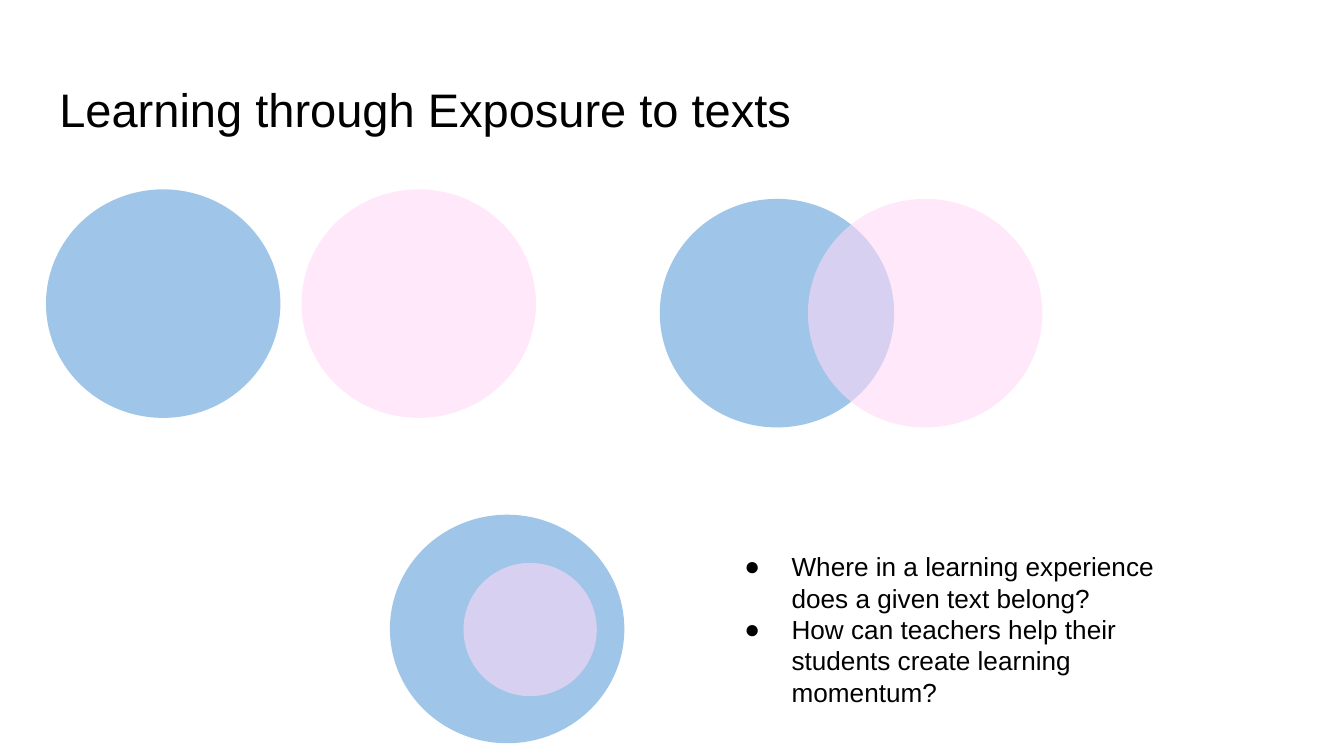
from lxml import etree
from pptx import Presentation
from pptx.dml.color import RGBColor
from pptx.enum.shapes import MSO_SHAPE
from pptx.enum.text import MSO_ANCHOR
from pptx.oxml.ns import qn
from pptx.util import Cm, Pt

OVAL = MSO_SHAPE.OVAL
TOP, BOTTOM = MSO_ANCHOR.TOP, MSO_ANCHOR.BOTTOM
BLACK = RGBColor(0x00, 0x00, 0x00)
BLUE = RGBColor(0x9F, 0xC5, 0xE8)
PINK = RGBColor(0xFF, 0xD8, 0xF7)
PINK_ALPHA = 59
CIRCLE = (4.43, 4.32)
SMALL_CIRCLE = (2.52, 2.52)
INSET = Cm(0.25)
FRAME = {"margin_left": INSET, "margin_right": INSET, "margin_top": INSET,
         "margin_bottom": INSET, "word_wrap": True}
QUESTIONS = [
    "Where in a learning experience does a given text belong?",
    "How can teachers help their students create learning momentum?",
]


def set_attrs(target, values):
    """Set each named attribute of the target."""
    for name, value in values.items():
        setattr(target, name, value)


def format_font(font, size):
    """Give a font the common face and colour."""
    set_attrs(font, {"name": "Arial", "size": Pt(size), "bold": False})
    font.color.rgb = BLACK


def add_title(s, text, left, top, width, height):
    """Place and format the title placeholder."""
    sp = s.shapes.title
    set_attrs(sp, {"left": Cm(left), "top": Cm(top),
                   "width": Cm(width), "height": Cm(height)})
    tf = sp.text_frame
    set_attrs(tf, {**FRAME, "vertical_anchor": BOTTOM})
    p = tf.paragraphs[0]
    p.alignment = 1
    r = p.add_run()
    r.text = text
    format_font(r.font, 25.2)


def add_circle(s, left, top, size, color, alpha=100):
    """Draw a borderless circle with the given opacity."""
    sp = s.shapes.add_shape(OVAL, Cm(left), Cm(top), *map(Cm, size))
    sp.shadow.inherit = False
    sp.line.fill.background()
    sp.fill.solid()
    sp.fill.fore_color.rgb = color
    if alpha < 100:
        clr = sp.fill._xPr.find(".//" + qn("a:srgbClr"))
        etree.SubElement(clr, qn("a:alpha"), val=str(alpha * 1000))


def add_circle_pair(s, left, top, offset, size=CIRCLE):
    """Draw a blue circle and a pink one moved from it by the offset."""
    dx, dy = offset
    add_circle(s, left, top, CIRCLE, BLUE)
    add_circle(s, left + dx, top + dy, size, PINK, PINK_ALPHA)


def add_questions(s, questions, left, top, width, height):
    """Write the bulleted questions in a text box."""
    sp = s.shapes.add_textbox(Cm(left), Cm(top), Cm(width), Cm(height))
    tf = sp.text_frame
    set_attrs(tf, {**FRAME, "vertical_anchor": TOP})
    for i, question in enumerate(questions):
        p = tf.add_paragraph() if i else tf.paragraphs[0]
        pPr = p._p.get_or_add_pPr()
        pPr.set("marL", str(Cm(1.27)))
        pPr.set("indent", str(Cm(-0.89)))
        color = etree.SubElement(pPr, qn("a:buClr"))
        etree.SubElement(color, qn("a:srgbClr"), val=str(BLACK))
        etree.SubElement(pPr, qn("a:buFont"), typeface="Arial")
        etree.SubElement(pPr, qn("a:buChar"), char="●")
        r = p.add_run()
        r.text = question
        format_font(r.font, 14)


def build():
    """Build the slide and save it."""
    prs = Presentation()
    set_attrs(prs, {"slide_width": Cm(25.4), "slide_height": Cm(14.29)})
    s = prs.slides.add_slide(prs.slide_layouts[5])
    add_title(s, "Learning through Exposure to texts", 0.87, 1.24, 23.67, 1.6)
    add_circle_pair(s, 0.87, 3.58, (4.83, 0))
    add_circle_pair(s, 12.47, 3.76, (2.8, 0))
    add_circle_pair(s, 7.37, 9.73, (1.39, 0.91), SMALL_CIRCLE)
    add_questions(s, QUESTIONS, 13.44, 10.16, 9.4, 3.5)
    prs.save("out.pptx")


if __name__ == "__main__":
    build()
